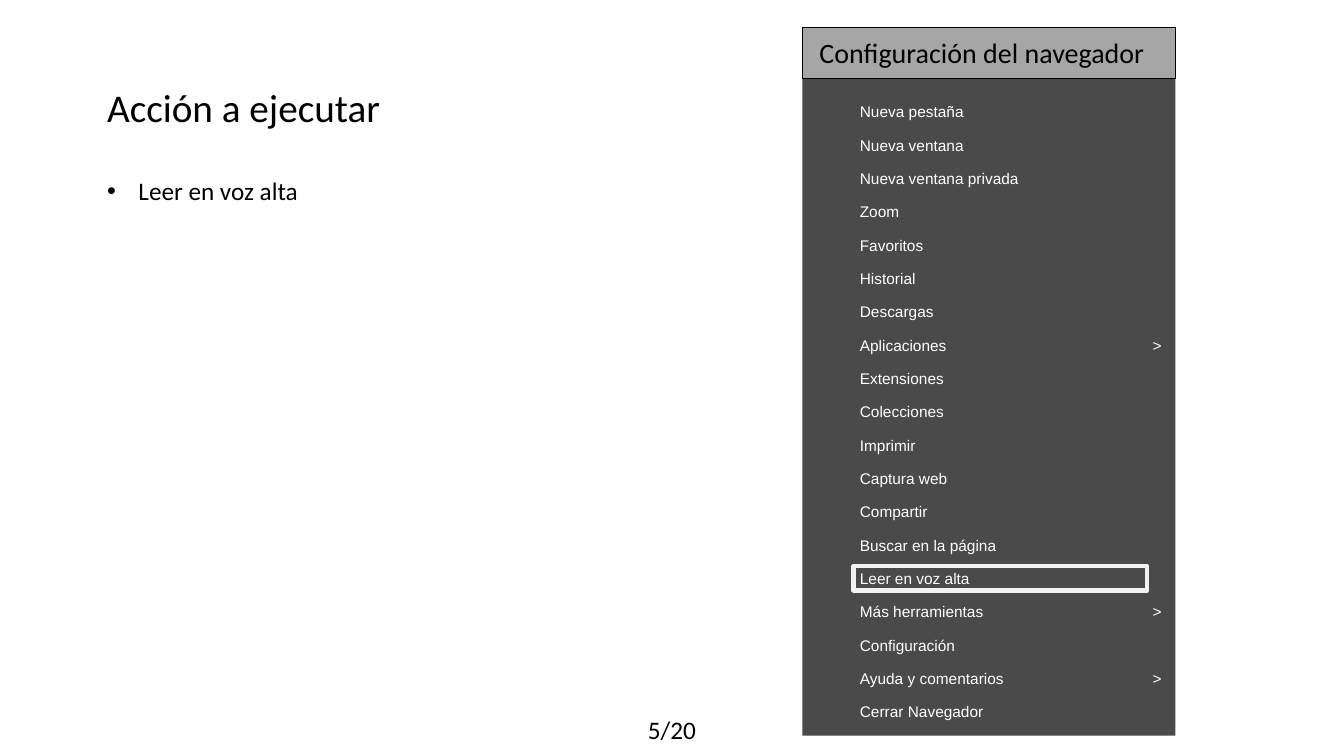
from pptx import Presentation
from pptx.dml.color import RGBColor
from pptx.enum.shapes import MSO_SHAPE as Preset
from pptx.enum.text import MSO_ANCHOR as Anchor, PP_ALIGN as Align
from pptx.oxml.ns import qn
from pptx.util import Cm, Pt
from lxml import etree

COLORS = {
    "black": "000000",
    "white": "FFFFFF",
    "menu": "4A4A4A",
    "header": "A6A6A6",
    "highlight": "F2F2F2",
}


def write(box, text, size, font="Calibri", color="black", margins=(0, 0), align=Align.LEFT):
    frame = box.text_frame
    frame.word_wrap = True
    frame.vertical_anchor = Anchor.TOP
    frame.margin_left = frame.margin_right = Cm(margins[0])
    frame.margin_top = frame.margin_bottom = Cm(margins[1])
    para = frame.paragraphs[0]
    para.alignment = align
    span = para.add_run()
    span.text = text
    span.font.size = Pt(size)
    span.font.name = font
    span.font.color.rgb = RGBColor.from_string(COLORS[color])
    return para


def add_panel(left, top, width, height, fill=None, line=None, weight=0.75):
    panel = page.shapes.add_shape(Preset.RECTANGLE, Cm(left), Cm(top), Cm(width), Cm(height))
    panel.shadow.inherit = False
    if fill:
        panel.fill.solid()
        panel.fill.fore_color.rgb = RGBColor.from_string(COLORS[fill])
    else:
        panel.fill.background()
    if line:
        panel.line.color.rgb = RGBColor.from_string(COLORS[line])
        panel.line.width = Pt(weight)
    else:
        panel.line.fill.background()


deck = Presentation()
deck.slide_width, deck.slide_height = Cm(33.87), Cm(19.05)
page = deck.slides.add_slide(deck.slide_layouts[5])
PADDING = (0.25, 0.13)

# Title
title = page.shapes.title
title.left, title.top, title.width, title.height = Cm(2.45), Cm(1.98), Cm(18.62), Cm(1.45)
write(title, "Acción a ejecutar", 28, margins=PADDING)

# Bulleted action
action = page.shapes.add_textbox(Cm(2.45), Cm(4.29), Cm(18.62), Cm(1.03))
para = write(action, "Leer en voz alta", 18, margins=PADDING)
properties = para._p.get_or_add_pPr()
properties.set("marL", str(Cm(0.79)))
properties.set("indent", str(Cm(-0.79)))
etree.SubElement(properties, qn("a:buFont")).set("typeface", "Arial")
etree.SubElement(properties, qn("a:buChar")).set("char", "•")

# Browser menu: background, highlighted row and header
add_panel(20.22, 1.88, 9.4, 16.66, fill="menu")
add_panel(21.51, 14.27, 7.4, 0.61, line="highlight", weight=3)
add_panel(20.22, 0.69, 9.4, 1.3, fill="header", line="black")
heading = page.shapes.add_textbox(Cm(20.65), Cm(0.89), Cm(8.8), Cm(0.86))
write(heading, "Configuración del navegador", 20)

# Menu entries, some of them opening a submenu
ENTRIES = [
    "Nueva pestaña", "Nueva ventana", "Nueva ventana privada", "Zoom", "Favoritos",
    "Historial", "Descargas", "Aplicaciones", "Extensiones", "Colecciones",
    "Imprimir", "Captura web", "Compartir", "Buscar en la página",
    "Leer en voz alta", "Más herramientas", "Configuración",
    "Ayuda y comentarios", "Cerrar Navegador",
]
SUBMENUS = {"Aplicaciones", "Más herramientas", "Ayuda y comentarios"}
for row, entry in enumerate(ENTRIES):
    top = Cm(2.58 + 0.84 * row)
    label = page.shapes.add_textbox(Cm(21.67), top, Cm(6), Cm(0.48))
    write(label, entry, 11, "Arial", "white")
    if entry in SUBMENUS:
        arrow = page.shapes.add_textbox(Cm(29.05), top, Cm(0.5), Cm(0.48))
        write(arrow, ">", 11, "Arial", "white")

# Page counter
counter = page.shapes.add_textbox(Cm(0), Cm(17.86), Cm(33.87), Cm(1.03))
write(counter, "5/20", 18, margins=PADDING, align=Align.CENTER)

deck.save("out.pptx")
